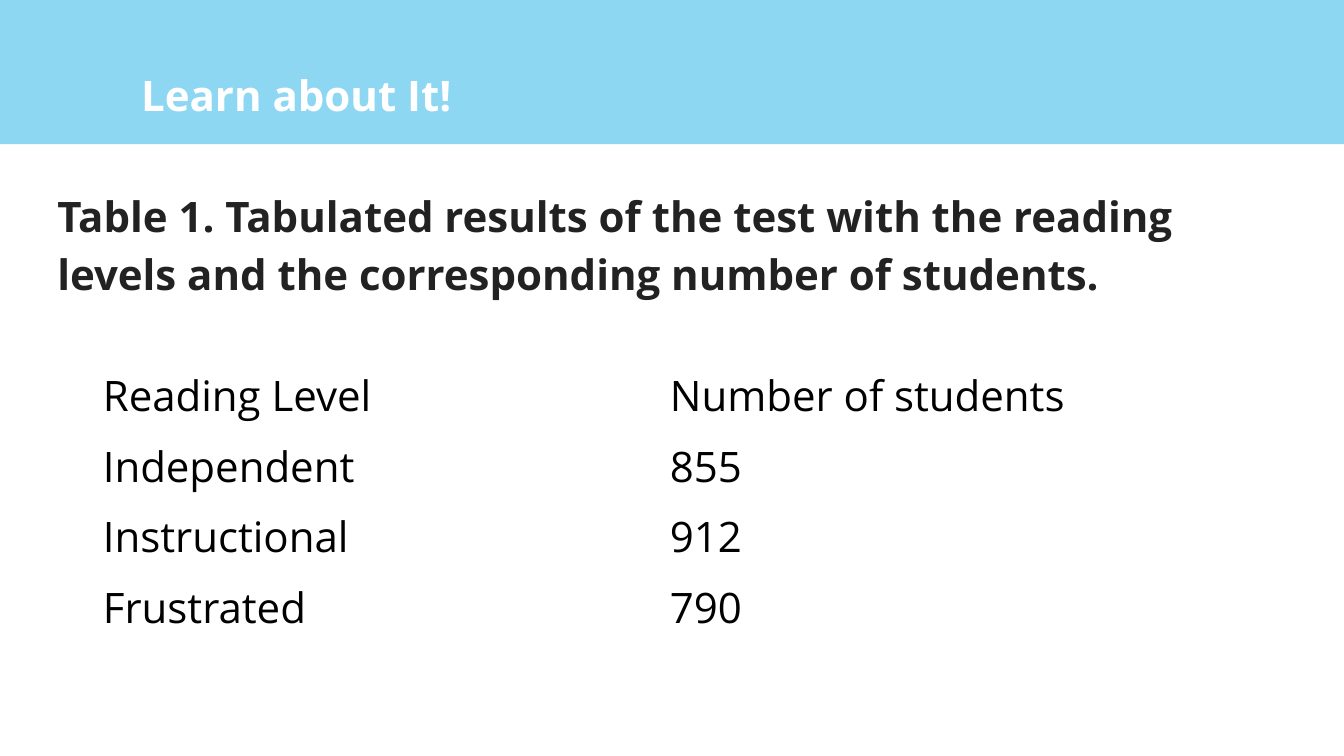
"""Build the slide with the tabulated reading level results."""
from dataclasses import dataclass

from pptx import Presentation
from pptx.dml.color import RGBColor
from pptx.enum.shapes import MSO_SHAPE
from pptx.enum.text import MSO_ANCHOR, MSO_AUTO_SIZE, PP_ALIGN
from pptx.util import Inches, Pt

HEADING = "Learn about It!"
CAPTION = ("Table 1. Tabulated results of the test with the reading levels "
           "and the corresponding number of students.")
RESULTS = [
    ("Reading Level", "Number of students"),
    ("Independent", "855"),
    ("Instructional", "912"),
    ("Frustrated", "790"),
]


@dataclass(frozen=True)
class Theme:
    font: str = "Open Sans"
    size: int = 30
    band: str = "8ED7F3"
    heading: str = "FFFFFF"
    caption: str = "222222"
    cell: str = "000000"
    inset: float = 0.1


THEME = Theme()


def box(*lengths):
    return [Inches(length) for length in lengths]


def write(frame, text, color, bold=False):
    frame.text = text
    frame.word_wrap = True
    paragraph = frame.paragraphs[0]
    paragraph.alignment = PP_ALIGN.LEFT
    font = paragraph.font
    font.name, font.size, font.bold = THEME.font, Pt(THEME.size), bold
    font.color.rgb = RGBColor.from_string(color)
    return paragraph


def set_insets(owner):
    inset = Inches(THEME.inset)
    owner.margin_left = owner.margin_right = inset
    owner.margin_top = owner.margin_bottom = inset


def add_band(slide, width):
    band = slide.shapes.add_shape(MSO_SHAPE.RECTANGLE, 0, 0, width, Inches(1.43))
    band.shadow.inherit = False
    band.fill.solid()
    band.fill.fore_color.rgb = RGBColor.from_string(THEME.band)
    band.line.fill.background()
    slide.shapes.title.element.addprevious(band.element)


def add_heading(slide):
    heading = slide.shapes.title
    heading.left, heading.top, heading.width, heading.height = box(1.3, 0.59, 5.67, 0.95)
    frame = heading.text_frame
    write(frame, HEADING, THEME.heading, bold=True)
    set_insets(frame)
    frame.vertical_anchor = MSO_ANCHOR.TOP
    frame.auto_size = MSO_AUTO_SIZE.NONE


def add_caption(slide):
    frame = slide.shapes.add_textbox(*box(0.47, 1.72, 12.34, 1.27)).text_frame
    write(frame, CAPTION, THEME.caption, bold=True).line_spacing = 1.15
    set_insets(frame)


def add_results(slide):
    table = slide.shapes.add_table(
        len(RESULTS), len(RESULTS[0]), *box(0.92, 3.54, 11.25, 2.8)).table
    table.first_row = table.horz_banding = False
    for row, values in zip(table.rows, RESULTS):
        for cell, value in zip(row.cells, values):
            cell.fill.background()
            set_insets(cell)
            write(cell.text_frame, value, THEME.cell)


def main():
    deck = Presentation()
    deck.slide_width, deck.slide_height = box(13.33, 7.5)
    slide = deck.slides.add_slide(deck.slide_layouts.get_by_name("Title Only"))
    add_band(slide, deck.slide_width)
    add_heading(slide)
    add_caption(slide)
    add_results(slide)
    deck.save("out.pptx")


if __name__ == "__main__":
    main()
